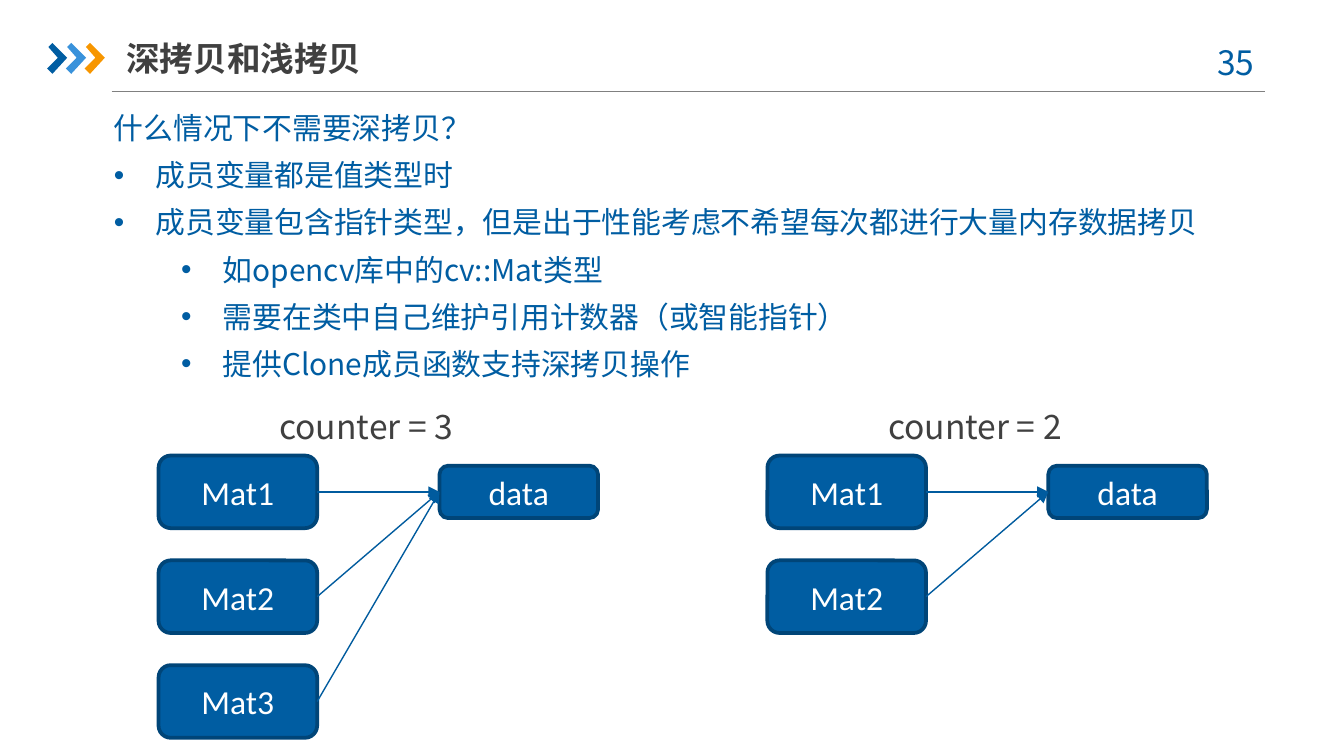
import pptx
import pptx.util
import pptx.dml.color
import pptx.enum.shapes
import pptx.enum.text
import pptx.oxml.ns
from lxml import etree

Inches, Pt = pptx.util.Inches, pptx.util.Pt
RGBColor = pptx.dml.color.RGBColor
ALIGN = pptx.enum.text.PP_ALIGN
MIDDLE = pptx.enum.text.MSO_ANCHOR.MIDDLE
ROUNDED = pptx.enum.shapes.MSO_SHAPE.ROUNDED_RECTANGLE
STRAIGHT = pptx.enum.shapes.MSO_CONNECTOR.STRAIGHT
qn = pptx.oxml.ns.qn

BLUE = RGBColor(0x00, 0x5D, 0xA2)
SKY = RGBColor(0x39, 0x92, 0xDB)
ORANGE = RGBColor(0xF7, 0x96, 0x00)
NAVY = RGBColor(0x00, 0x45, 0x78)
ARROW = RGBColor(0x00, 0x5B, 0x9E)
GREY = RGBColor(0x80, 0x80, 0x80)
DARK = RGBColor(0x40, 0x40, 0x40)
WHITE = RGBColor(0xFF, 0xFF, 0xFF)
CJK_FONT, LABEL_FONT = "Noto Sans CJK SC", "Calibri"

# Content
TITLE, PAGE_NUMBER = "深拷贝和浅拷贝", "35 "
# (text, outline level, text indent or None for no bullet)
POINTS = [
    ("什么情况下不需要深拷贝？", 0, None),
    ("成员变量都是值类型时", 0, 0.31),
    ("成员变量包含指针类型，但是出于性能考虑不希望每次都进行大量内存数据拷贝", 0, 0.31),
    ("如opencv库中的cv::Mat类型", 1, 0.81),
    ("需要在类中自己维护引用计数器（或智能指针）", 1, 0.81),
    ("提供Clone成员函数支持深拷贝操作", 1, 0.81),
]
DIAGRAMS = [  # (left edge, caption, objects sharing the data)
    (1.18, "counter = 3", ["Mat1", "Mat2", "Mat3"]),
    (5.71, "counter = 2", ["Mat1", "Mat2"]),
]
CHEVRON_COLORS = [BLUE, SKY, ORANGE]
CHEVRON = [(0.01, 0.03), (0.04, 0), (0.15, 0.11), (0.04, 0.23), (0, 0.19), (0.08, 0.11)]
NODE_TOP, NODE_HEIGHT, DATA_HEIGHT = 3.39, 0.54, 0.39


def add_span(para, text, size, color, font=CJK_FONT, bold=None):
    span = para.add_run()
    span.text = text
    span.font.size, span.font.name, span.font.bold = Pt(size), font, bold
    span.font.color.rgb = color
    if font == CJK_FONT:
        east_asian = etree.SubElement(span.font._element, qn("a:ea"))
        east_asian.set("typeface", font)


def add_text_box(page, left, top, width, height):
    box = page.shapes.add_textbox(Inches(left), Inches(top), Inches(width), Inches(height))
    box.text_frame.word_wrap = True
    return box.text_frame


def add_label(page, left, top, width, text, color, align=ALIGN.LEFT):
    para = add_text_box(page, left, top, width, 0.4).paragraphs[0]
    para.alignment = align
    para.line_spacing = Pt(21.6)
    add_span(para, text, 18, color)


def add_bullet(para, indent):
    properties = para._p.get_or_add_pPr()
    properties.set("marL", str(Inches(indent)))
    properties.set("indent", str(Inches(-0.31)))
    etree.SubElement(properties, qn("a:buFont")).set("typeface", "Arial")
    etree.SubElement(properties, qn("a:buChar")).set("char", "•")


def add_node(page, left, top, height, text):
    node = page.shapes.add_shape(ROUNDED, Inches(left), Inches(top), Inches(1.18), Inches(height))
    node.shadow.inherit = False
    node.fill.solid()
    node.fill.fore_color.rgb = BLUE
    node.line.color.rgb = NAVY
    node.line.width = Pt(2)
    node.text_frame.vertical_anchor = MIDDLE
    para = node.text_frame.paragraphs[0]
    para.alignment = ALIGN.CENTER
    add_span(para, text, 18, WHITE, LABEL_FONT)
    return node


def add_line(page, color, start=(0, 0), end=(0, 0)):
    line = page.shapes.add_connector(STRAIGHT, *map(Inches, start + end))
    line.line.color.rgb = color
    line.line.width = Pt(0.75)
    etree.SubElement(line._element.spPr, qn("a:effectLst"))
    return line


def add_arrow(page, source, target):
    arrow = add_line(page, ARROW)
    arrow.begin_connect(source, 3)
    arrow.end_connect(target, 1)
    etree.SubElement(arrow.line._get_or_add_ln(), qn("a:tailEnd")).set("type", "triangle")


def add_chevron(page, left, color):
    points = [(Inches(left + x), Inches(0.32 + y)) for x, y in CHEVRON]
    builder = page.shapes.build_freeform(*points[0], scale=1.0)
    builder.add_line_segments(points[1:], close=True)
    chevron = builder.convert_to_shape()
    chevron.shadow.inherit = False
    chevron.fill.solid()
    chevron.fill.fore_color.rgb = color
    chevron.line.fill.background()


def add_diagram(page, left, caption, names):
    nodes = [
        add_node(page, left, NODE_TOP + 0.78 * row, NODE_HEIGHT, name)
        for row, name in enumerate(names)
    ]
    data_top = NODE_TOP + (NODE_HEIGHT - DATA_HEIGHT) / 2
    data = add_node(page, left + 2.09, data_top, DATA_HEIGHT, "data")
    for node in reversed(nodes):
        add_arrow(page, node, data)
    add_label(page, left + 0.8, 2.97, 1.88, caption, DARK)


def main():
    deck = pptx.Presentation()
    # Widescreen 16:9
    deck.slide_width = Inches(10)
    deck.slide_height = deck.slide_width * 9 // 16
    page = deck.slides.add_slide(deck.slide_layouts[6])

    # Header: rule, chevrons, page number, title
    add_line(page, GREY, (0.83, 0.68), (9.41, 0.68))
    for index, color in enumerate(CHEVRON_COLORS):
        add_chevron(page, 0.35 + 0.14 * index, color)
    add_label(page, 8.86, 0.26, 0.73, PAGE_NUMBER, BLUE, ALIGN.CENTER)
    title = add_text_box(page, 0.94, 0.22, 2.33, 0.42)
    title.margin_left = title.margin_right = 0
    title.vertical_anchor = MIDDLE
    add_span(title.paragraphs[0], TITLE, 18, DARK, bold=True)

    # Body points
    body = add_text_box(page, 0.75, 0.77, 8.43, 2.14)
    for index, (text, level, indent) in enumerate(POINTS):
        para = body.add_paragraph() if index else body.paragraphs[0]
        para.level = level
        if indent:
            add_bullet(para, indent)
        para.line_spacing = Pt(19.2)
        para.space_after = Pt(6)
        add_span(para, text, 16, BLUE)

    # Reference-count diagrams
    for left, caption, names in DIAGRAMS:
        add_diagram(page, left, caption, names)

    deck.save("out.pptx")


if __name__ == "__main__":
    main()
